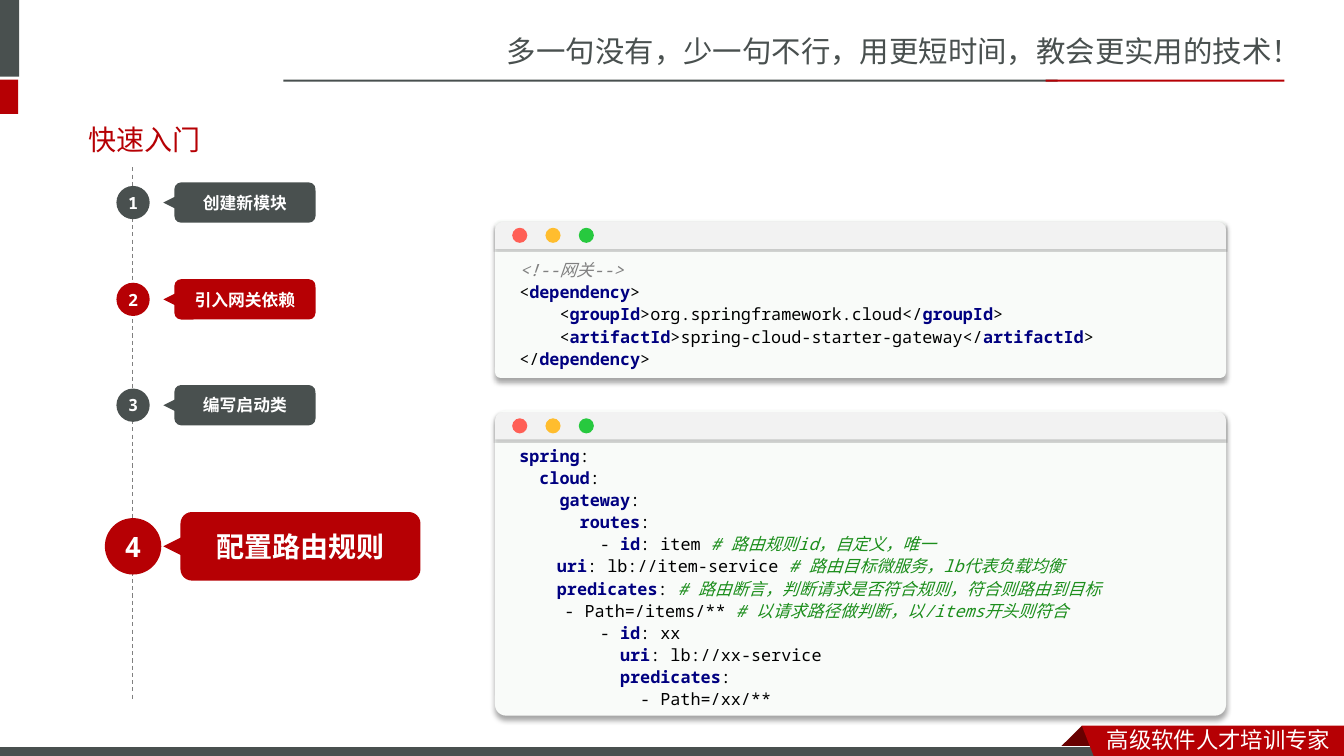
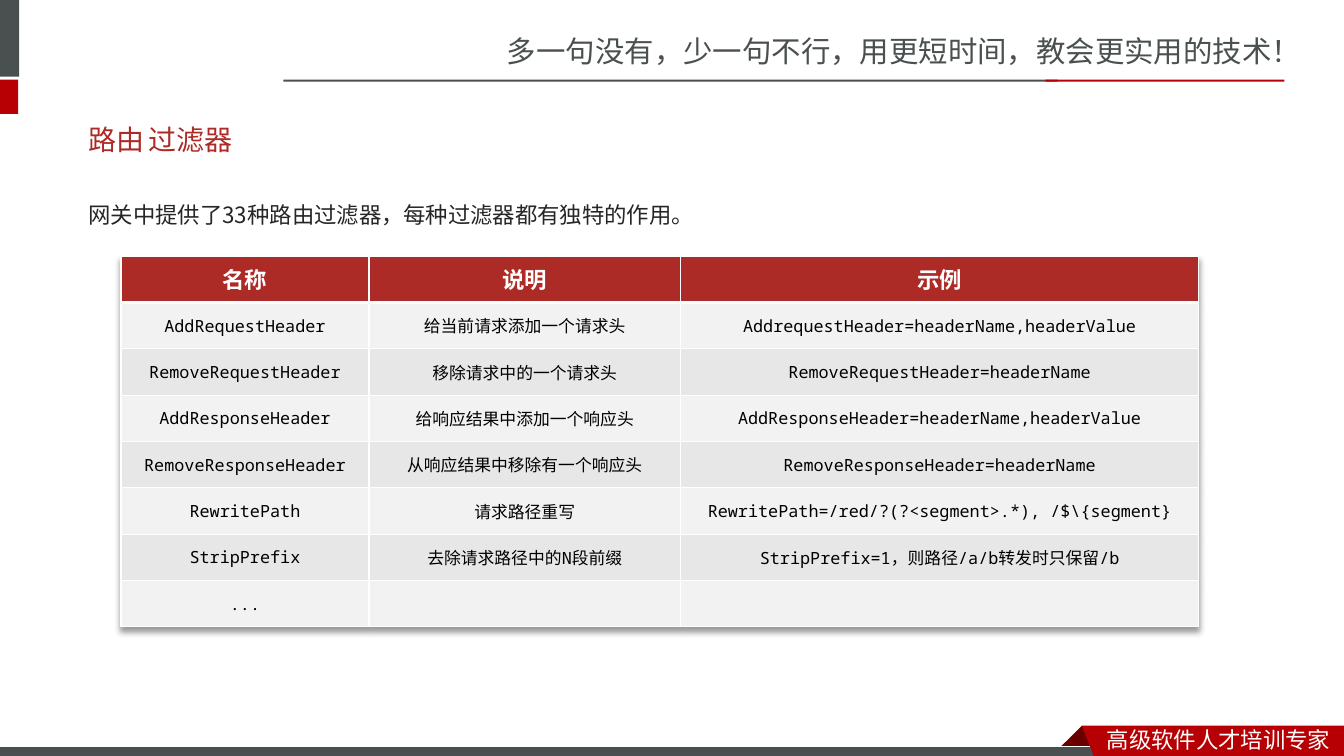
from copy import deepcopy

from lxml.etree import SubElement
from pptx import Presentation
from pptx.dml.color import RGBColor
from pptx.enum.dml import MSO_LINE
from pptx.enum.shapes import MSO_CONNECTOR, MSO_SHAPE as SHAPE
from pptx.enum.text import MSO_ANCHOR as ANCHOR, PP_ALIGN as ALIGN
from pptx.oxml.ns import qn
from pptx.util import Inches, Pt

COLORS = {
    "slate": "49504F", "red": "B60004", "fold": "680000", "brick": "AD2B26",
    "white": "FFFFFF", "black": "000000", "ink": "262626", "grey": "808080",
    "navy": "000080", "green": "1C8E1C", "code": "F9FBF9", "bar": "F2F2F2",
    "band": "E7E7E7", "close": "FF5F56", "minimize": "FFBD2E", "zoom": "27C93F",
}
CJK, MONO, HEAD = "Noto Sans CJK SC", "Noto Sans Mono", "Arial"

# Formats of the code parts
PLAIN = {}
KEY = {"color": "navy", "bold": True}
NOTE = {"color": "green", "italic": True}
REMARK = {"color": "grey", "italic": True}

XML_CODE = [[
    ("<!--", REMARK), ("网关", {**REMARK, "font": "Courier New"}), ("-->\n", REMARK),
    ("<", PLAIN), ("dependency", KEY), (">\n    <", PLAIN),
    ("groupId", KEY), (">org.springframework.cloud</", PLAIN),
    ("groupId", KEY), (">\n    <", PLAIN),
    ("artifactId", KEY), (">spring-cloud-starter-gateway</", PLAIN),
    ("artifactId", KEY), (">\n</", PLAIN), ("dependency", KEY), (">", PLAIN),
]]
YAML_CODE = [
    [
        ("spring", KEY), (":\n  ", PLAIN), ("cloud", KEY), (":\n    ", PLAIN),
        ("gateway", KEY), (":\n      ", PLAIN), ("routes", KEY),
        (": \n        - ", PLAIN), ("id", KEY), (": item ", PLAIN),
        ("# 路由规则id，自定义，唯一\n          ", NOTE),
        ("uri", KEY), (": lb://item-service ", PLAIN),
        ("# 路由目标微服务，lb代表负载均衡\n          ", NOTE),
        ("predicates", KEY), (": ", PLAIN),
        ("# 路由断言，判断请求是否符合规则，符合则路由到目标\n", NOTE),
        ("            - Path=/items/** ", PLAIN),
        ("# 以请求路径做判断，以/items开头则符合", NOTE),
    ],
    [
        ("        - ", PLAIN), ("id", KEY), (": xx\n          ", PLAIN),
        ("uri", KEY), (": lb://xx-service\n          ", PLAIN),
        ("predicates", KEY), (":\n            - Path=/xx/**", PLAIN),
    ],
]

FILTERS = [
    ("名称", "说明", "示例"),
    ("AddRequestHeader", "给当前请求添加一个请求头", "AddrequestHeader=headerName,headerValue"),
    ("RemoveRequestHeader", "移除请求中的一个请求头", "RemoveRequestHeader=headerName"),
    ("AddResponseHeader", "给响应结果中添加一个响应头", "AddResponseHeader=headerName,headerValue"),
    ("RemoveResponseHeader", "从响应结果中移除有一个响应头", "RemoveResponseHeader=headerName"),
    ("RewritePath", "请求路径重写", r"RewritePath=/red/?(?<segment>.*), /$\{segment}"),
    ("StripPrefix", "去除请求路径中的N段前缀", "StripPrefix=1，则路径/a/b转发时只保留/b"),
    ("...", "", ""),
]


def rgb(name):
    return RGBColor.from_string(COLORS[name])


# Text
def add_run(p, text, size=12, font=MONO, color="black", bold=False, italic=False):
    """Add text to a paragraph; each newline becomes a line break."""
    for i, part in enumerate(text.split("\n")):
        if i:
            p.add_line_break()
            p._p[-1].append(deepcopy(r_pr))
        if part:
            r = p.add_run()
            r.text = part
            r.font.size, r.font.name = Pt(size), font
            r.font.bold, r.font.italic = bold, italic
            r.font.color.rgb = rgb(color)
            r_pr = r._r.get_or_add_rPr()
            SubElement(r_pr, qn("a:ea"), typeface=font if "CJK" in font else CJK)


def write(tf, paragraphs, align=ALIGN.LEFT, spacing=None, **fmt):
    """Fill a text frame from a string or from lists of (text, format) runs."""
    if isinstance(paragraphs, str):
        paragraphs = [[(paragraphs, {})]]
    for i, runs in enumerate(paragraphs):
        p = tf.paragraphs[0] if i == 0 else tf.add_paragraph()
        p.alignment = align
        if spacing:
            p.line_spacing = spacing
        for text, own in runs:
            add_run(p, text, **{**fmt, **own})


def text_box(s, paragraphs, x, y, w, h, anchor=ANCHOR.TOP, inset=0.1, **fmt):
    tf = s.shapes.add_textbox(Inches(x), Inches(y), Inches(w), Inches(h)).text_frame
    tf.word_wrap, tf.vertical_anchor = True, anchor
    tf.margin_left = tf.margin_right = Inches(inset)
    write(tf, paragraphs, **fmt)


# Shapes
def paint(sp, fill, line=None):
    sp.shadow.inherit = False
    sp.fill.solid()
    sp.fill.fore_color.rgb = rgb(fill)
    if line:
        sp.line.color.rgb, sp.line.width = rgb(line), Pt(0.75)
    else:
        sp.line.fill.background()
    return sp


def shape(s, kind, x, y, w, h, fill, line=None):
    sp = s.shapes.add_shape(kind, Inches(x), Inches(y), Inches(w), Inches(h))
    return paint(sp, fill, line)


def polygon(s, points, fill):
    start, *rest = [(Inches(x), Inches(y)) for x, y in points]
    builder = s.shapes.build_freeform(*start)
    builder.add_line_segments(rest, close=True)
    paint(builder.convert_to_shape(), fill)


def label(sp, text, **fmt):
    tf = sp.text_frame
    tf.margin_left = tf.margin_right = tf.margin_top = tf.margin_bottom = 0
    tf.word_wrap, tf.vertical_anchor = False, ANCHOR.MIDDLE
    write(tf, text, align=ALIGN.CENTER, color="white", bold=True, **fmt)


def drop_shadow(effects, alpha, blur, dist):
    shadow = SubElement(effects, qn("a:outerShdw"), blurRad=str(Pt(blur)),
                        dist=str(Pt(dist)), dir="5400000", algn="t", rotWithShape="0")
    color = SubElement(shadow, qn("a:srgbClr"), val=COLORS["black"])
    SubElement(color, qn("a:alpha"), val=str(alpha * 1000))


def shape_shadow(sp, *args):
    drop_shadow(sp._element.spPr.find(qn("a:effectLst")), *args)


# Parts shared by the slides
def new_slide(prs):
    s = prs.slides.add_slide(prs.slide_layouts[6])
    text_box(s, "多一句没有，少一句不行，用更短时间，教会更实用的技术！",
             4.93, 0.28, 8.41, 0.47, size=21, font=CJK, color="slate")
    shape(s, SHAPE.RECTANGLE, -0.06, 0, 0.25, 0.76, "slate")
    shape(s, SHAPE.RECTANGLE, -0.06, 0.79, 0.24, 0.34, "red")
    shape(s, SHAPE.RECTANGLE, 2.81, 0.79, 7.68, 0.02, "slate")
    shape(s, SHAPE.RECTANGLE, 10.37, 0.79, 2.37, 0.02, "red")
    polygon(s, [(10.73, 7.2), (10.95, 7.42), (10.94, 7.43), (10.52, 7.43), (10.51, 7.42)], "fold")
    shape(s, SHAPE.RECTANGLE, -0.01, 7.41, 11, 0.12, "slate", line="white")
    polygon(s, [(10.73, 7.2), (13.33, 7.2), (13.33, 7.54), (10.86, 7.53)], "red")
    text_box(s, "高级软件人才培训专家", 10.88, 7.15, 2.45, 0.37, size=16, font=CJK, color="white")
    return s


def heading(s, text, x, w, color):
    text_box(s, text, x, 1.1, w, 0.57, anchor=ANCHOR.MIDDLE, size=20, font=HEAD, color=color)


# Slide parts
def step(s, number, text, cy, color, x=1.73, w=1.4, h=0.4, d=0.33, tip=0.14, size=12):
    """Numbered circle with a callout pointing at it, centred on cy."""
    bubble = shape(s, SHAPE.ROUNDED_RECTANGLE, x, cy - h / 2, w, h, color)
    label(bubble, text, size=size, font=HEAD)
    pointer = shape(s, SHAPE.ISOSCELES_TRIANGLE, 1.62, cy - tip / 2, tip, tip, color)
    pointer.rotation = 270
    circle = shape(s, SHAPE.OVAL, 1.32 - d / 2, cy - d / 2, d, d, color)
    label(circle, number, size=size)


def code_window(s, code, y, h, text_y):
    x, w, dot = 4.91, 7.25, 0.15
    body = shape(s, SHAPE.ROUNDED_RECTANGLE, x, y, w, h, "code")
    body.adjustments[0] = 0.036
    shape_shadow(body, 34, 4, 3)
    text_box(s, code, x, text_y, 7.11, y + h - text_y, inset=0.24, spacing=1.1)
    bar = shape(s, SHAPE.ROUND_2_SAME_RECTANGLE, x, y + 0.02, w, 0.27, "bar")
    bar.adjustments[0] = 0.3
    shape_shadow(bar, 20, 1, 1)
    for i, color in enumerate(("close", "minimize", "zoom")):
        shape(s, SHAPE.OVAL, x + 0.17 + i * 0.33, y + 0.08, dot, dot, color)


def cell_borders(cell, top, bottom):
    tc_pr = cell._tc.get_or_add_tcPr()
    for side, width in zip("LRTB", (1, 1, top, bottom)):
        ln = SubElement(tc_pr, qn(f"a:ln{side}"), w=str(Pt(width)))
        fill = SubElement(ln, qn("a:solidFill"))
        SubElement(fill, qn("a:srgbClr"), val=COLORS["white"])


def filter_table(s, rows, x, y, widths, row_h):
    frame = s.shapes.add_table(len(rows), len(widths), Inches(x), Inches(y),
                               Inches(sum(widths)), Inches(row_h * len(rows)))
    table = frame.table
    tbl_pr = table._tbl.tblPr
    effects = SubElement(tbl_pr, qn("a:effectLst"))
    tbl_pr.insert(0, effects)
    drop_shadow(effects, 40, 4, 3)
    for col, width in zip(table.columns, widths):
        col.width = Inches(width)
    for i, row in enumerate(rows):
        table.rows[i].height = Inches(row_h)
        head = i == 0
        fill = "brick" if head else ("bar" if i % 2 else "band")
        for j, text in enumerate(row):
            cell = table.cell(i, j)
            cell.vertical_anchor = ANCHOR.MIDDLE
            cell_borders(cell, top=3 if i == 1 else 1, bottom=3 if head else 1)
            cell.fill.solid()
            cell.fill.fore_color.rgb = rgb(fill)
            if text:
                write(cell.text_frame, text, align=ALIGN.CENTER, bold=head,
                      size=16 if head else 12, color="white" if head else "black")


# Slides
def quick_start(prs):
    s = new_slide(prs)
    heading(s, "快速入门", 0.78, 11.7, "red")
    code_window(s, XML_CODE, 2.18, 1.57, 2.51)
    code_window(s, YAML_CODE, 4.07, 3.03, 4.35)
    rail = s.shapes.add_connector(MSO_CONNECTOR.STRAIGHT, Inches(1.31), Inches(1.66),
                                  Inches(1.31), Inches(6.96))
    rail.line.color.rgb, rail.line.width = rgb("grey"), Pt(0.75)
    rail.line.dash_style = MSO_LINE.DASH
    SubElement(rail._element.spPr, qn("a:effectLst"))
    step(s, "1", "创建新模块", 2.01, "slate")
    step(s, "2", "引入网关依赖", 2.97, "red")
    step(s, "3", "编写启动类", 4.02, "slate")
    step(s, "4", "配置路由规则", 5.42, "red", x=1.79, w=2.38, h=0.68, d=0.56, tip=0.2, size=20)


def route_filters(prs):
    s = new_slide(prs)
    heading(s, "路由", 0.78, 0.79, "brick")
    heading(s, "过滤器", 1.37, 1.24, "brick")
    text_box(s, "网关中提供了33种路由过滤器，每种过滤器都有独特的作用。", 0.78, 1.81, 11.53, 0.91,
             spacing=1.5, size=16, font="Noto Sans CJK JP", color="ink")
    filter_table(s, FILTERS, 1.2, 2.54, (2.46, 3.09, 5.14), 0.46)


def main():
    prs = Presentation()
    prs.slide_width, prs.slide_height = Inches(13.33), Inches(7.5)
    quick_start(prs)
    route_filters(prs)
    prs.save("out.pptx")


if __name__ == "__main__":
    main()
